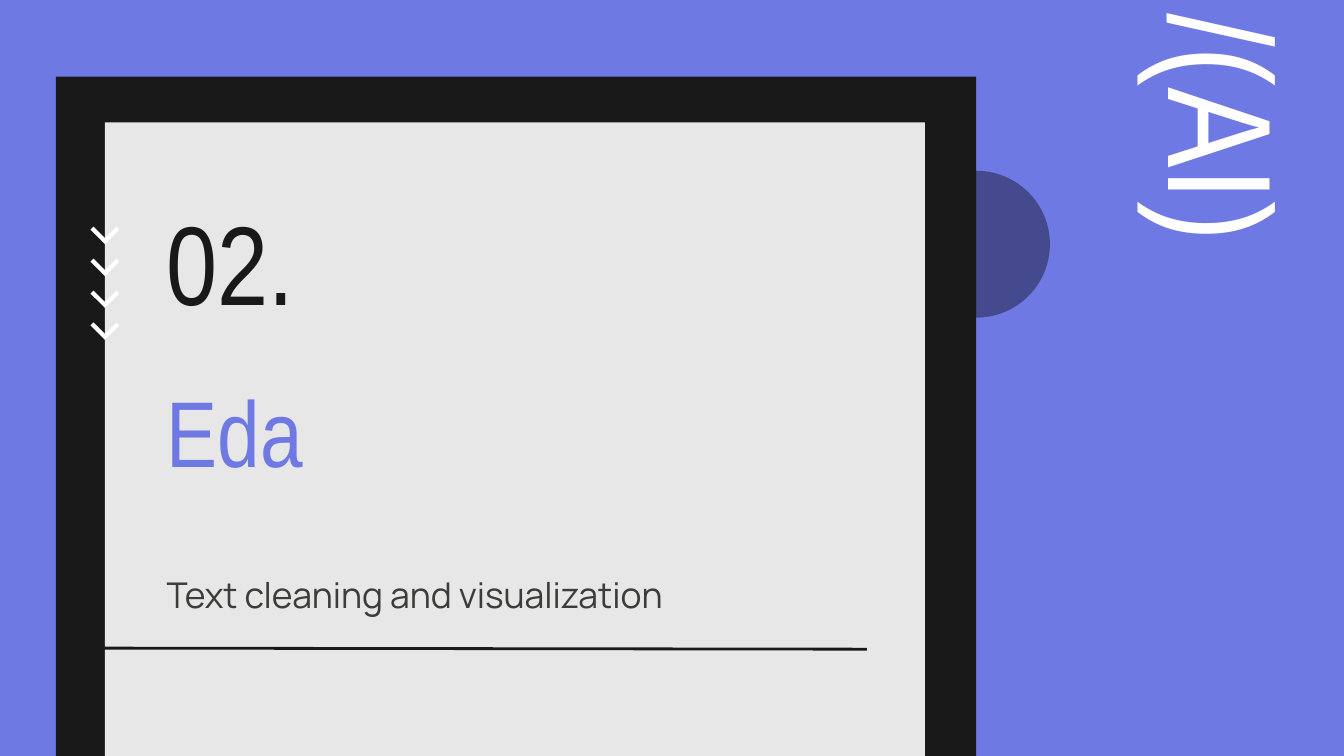
from lxml.etree import SubElement
from pptx import Presentation
from pptx.dml.color import RGBColor
from pptx.enum.shapes import MSO_CONNECTOR, MSO_SHAPE
from pptx.enum.text import MSO_ANCHOR, MSO_AUTO_SIZE, PP_ALIGN
from pptx.oxml.ns import qn
from pptx.util import Pt

COLORS = {
    "background": "6E79E4",
    "dark": "191919",
    "panel": "E7E7E7",
    "subtitle": "3C3C3B",
    "white": "FFFFFF",
    "black": "000000",
}
CHEVRON_POINTS = [(0, 1.6), (7.75, 9.3), (15.5, 1.6), (13.9, 0), (7.75, 6.1), (1.6, 0)]
CHEVRON_COUNT = 4
CHEVRON_STEP = 17.1


def color(name):
    return RGBColor.from_string(COLORS[name])


def apply_format(target, values):
    for name, value in values.items():
        setattr(target, name, value)


def place(shape, left, top, width, height):
    apply_format(shape, {"left": Pt(left), "top": Pt(top), "width": Pt(width), "height": Pt(height)})


def fill_shape(shape, color_name):
    shape.shadow.inherit = False
    shape.fill.solid()
    shape.fill.fore_color.rgb = color(color_name)
    shape.line.fill.background()


def add_filled_shape(slide, preset, box, color_name, opacity=None):
    shape = slide.shapes.add_shape(preset, *(Pt(length) for length in box))
    fill_shape(shape, color_name)
    if opacity is not None:
        color_element = shape.fill._xPr.find(qn("a:solidFill"))[0]
        SubElement(color_element, qn("a:alpha"), val=str(opacity * 1000))


def write_text(shape, text, font_name, size, color_name, anchor=MSO_ANCHOR.MIDDLE, line_spacing=1.0):
    frame = shape.text_frame
    apply_format(frame, {
        "text": text,
        "word_wrap": True,
        "auto_size": MSO_AUTO_SIZE.NONE,
        "vertical_anchor": anchor,
        "margin_left": Pt(7.2),
        "margin_right": Pt(7.2),
        "margin_top": Pt(7.2),
        "margin_bottom": Pt(7.2),
    })
    paragraph = frame.paragraphs[0]
    apply_format(paragraph, {
        "alignment": PP_ALIGN.LEFT,
        "line_spacing": line_spacing,
        "space_before": Pt(0),
    })
    font = paragraph.runs[0].font
    apply_format(font, {"name": font_name, "size": Pt(size)})
    font.color.rgb = color(color_name)


def add_text_box(slide, box):
    return slide.shapes.add_textbox(*(Pt(length) for length in box))


def add_chevron(slide, left, top):
    points = [(Pt(left + x), Pt(top + y)) for x, y in CHEVRON_POINTS]
    builder = slide.shapes.build_freeform(*points[0])
    builder.add_line_segments(points[1:], close=True)
    fill_shape(builder.convert_to_shape(), "white")


def add_rule(slide, start, end):
    connector = slide.shapes.add_connector(
        MSO_CONNECTOR.STRAIGHT, *(Pt(length) for length in start + end))
    connector.line.color.rgb = color("dark")
    connector.line.width = Pt(1.5)
    SubElement(connector._element.spPr, qn("a:effectLst"))


def main():
    presentation = Presentation()
    apply_format(presentation, {"slide_width": Pt(720), "slide_height": Pt(405)})
    slide = presentation.slides.add_slide(presentation.slide_layouts[0])
    slide.background.fill.solid()
    slide.background.fill.fore_color.rgb = color("background")

    tag = add_text_box(slide, (586.8, 24.5, 139, 90))
    tag.rotation = 90
    write_text(tag, "/(AI)", "Arial Narrow", 79, "white", MSO_ANCHOR.TOP, 0.9)

    add_filled_shape(slide, MSO_SHAPE.OVAL, (483.8, 91.5, 78.7, 78.7), "black", opacity=38)
    add_filled_shape(slide, MSO_SHAPE.RECTANGLE, (30, 41, 493, 364), "dark")
    add_filled_shape(slide, MSO_SHAPE.RECTANGLE, (56.2, 65.5, 439.3, 339.5), "panel")

    title, subtitle = slide.placeholders
    place(title, 82, 172.8, 402, 115.2)
    write_text(title, "Eda", "Arial Narrow", 50, "background")
    place(subtitle, 82, 290.2, 402, 56.2)
    write_text(subtitle, "Text cleaning and visualization", "Manrope", 19, "subtitle")
    for placeholder in (title, subtitle):
        slide.shapes._spTree.append(placeholder._element)

    section_number = add_text_box(slide, (82, 106.6, 148.3, 66.2))
    write_text(section_number, "02.", "Arial Narrow", 60, "dark")

    for index in range(CHEVRON_COUNT):
        add_chevron(slide, 48.5, 121.5 + index * CHEVRON_STEP)
    add_rule(slide, (36, 347.2), (464.4, 347.8))

    presentation.save("out.pptx")


if __name__ == "__main__":
    main()
